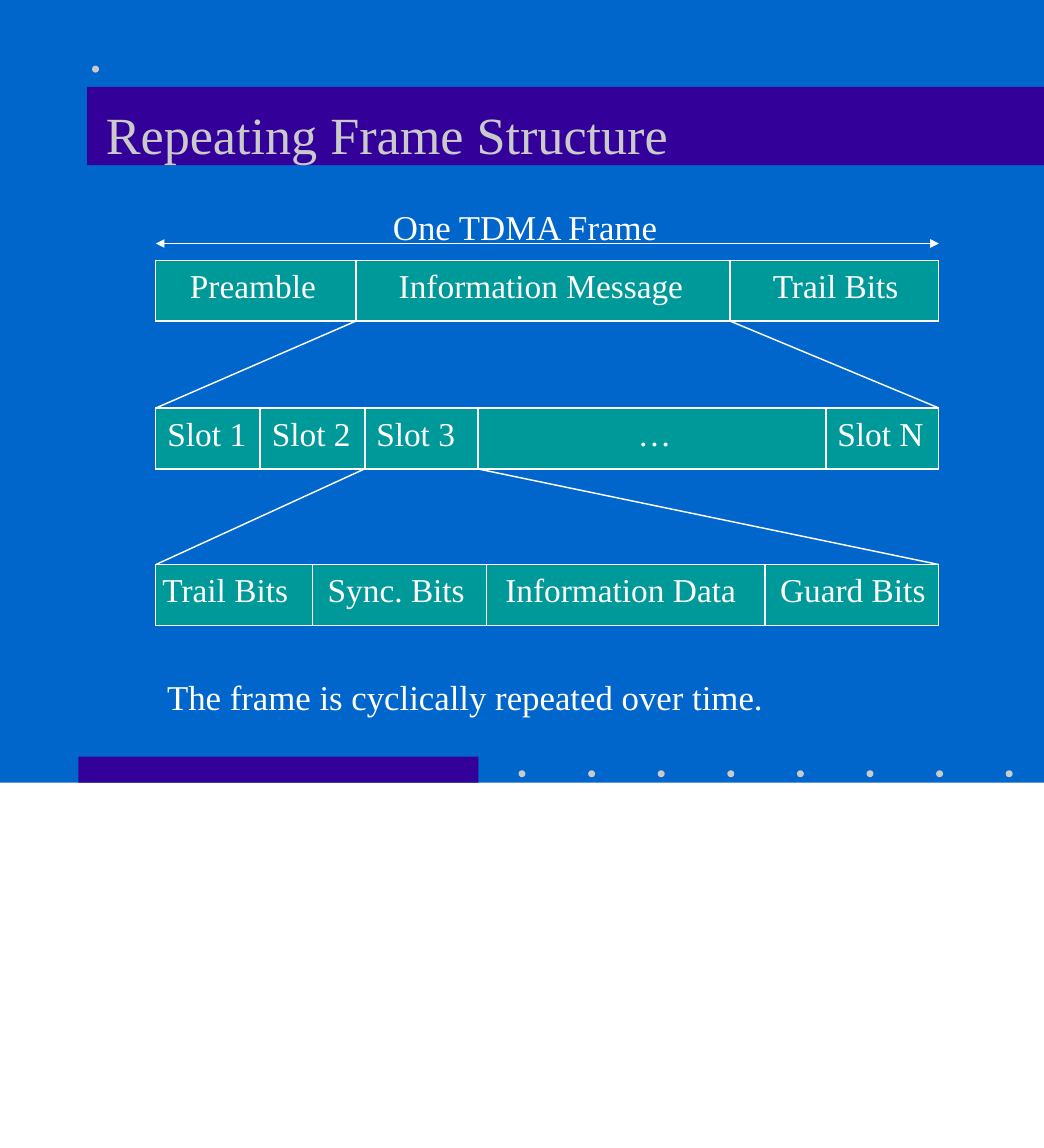
import itertools

import pptx
import pptx.dml.color
import pptx.enum.shapes
import pptx.enum.text
import pptx.oxml
import pptx.oxml.ns
import pptx.util

Pt = pptx.util.Pt
SHAPES = pptx.enum.shapes.MSO_SHAPE
ALIGN = pptx.enum.text.PP_ALIGN
ANCHOR = pptx.enum.text.MSO_ANCHOR

FONT = "Times New Roman"
COLORS = {"page": "0066CC", "band": "330099", "grey": "CACACA",
          "cell": "009999", "white": "FFFFFF"}

TITLE = "Repeating Frame Structure"
CAPTIONS = [("One TDMA Frame", 271, 142.2, 184),
            ("The frame is cyclically repeated over time.", 115.2, 466.2, 430)]
# Each row: top, then cells as (text, width, indent, alignment)
ROWS = [
    (179.5, [("Preamble", 138, 23.5, ALIGN.LEFT),
             ("Information Message", 258, 29.5, ALIGN.LEFT),
             ("Trail Bits", 144, 29.5, ALIGN.LEFT)]),
    (281.5, [("Slot 1", 72, 8, ALIGN.LEFT),
             ("Slot 2", 72, 8, ALIGN.LEFT),
             ("Slot 3", 78, 8, ALIGN.LEFT),
             ("…", 240, 4, ALIGN.CENTER),
             ("Slot N", 78, 8, ALIGN.LEFT)]),
    (389.5, [("Trail Bits", 108, 4.5, ALIGN.LEFT),
             ("Sync. Bits", 120, 10.5, ALIGN.LEFT),
             ("Information Data", 192, 13, ALIGN.LEFT),
             ("Guard Bits", 120, 10.5, ALIGN.LEFT)]),
]
EXPANDED = [1, 2]  # cell of each row that the next row details
LEFT, WIDTH, ROW_HEIGHT = 107.5, 540, 42
ARROW_Y = 168
DOT = 4.8
DOTS = [(63.5, 45.3)] + [(357.6 + 48 * i, 531.4) for i in range(8)]


def rgb(name):
    return pptx.dml.color.RGBColor.from_string(COLORS[name])


def write(frame, text, size=24, color="white", align=ALIGN.LEFT,
          anchor=ANCHOR.TOP, indent=0):
    frame.word_wrap = True
    frame.vertical_anchor = anchor
    frame.margin_left = Pt(indent)
    frame.margin_right = frame.margin_top = frame.margin_bottom = 0
    para = frame.paragraphs[0]
    para.alignment = align
    para.space_before = Pt(0)
    span = para.add_run()
    span.text = text
    span.font.name, span.font.size = FONT, Pt(size)
    span.font.color.rgb = rgb(color)


def add_block(page, kind, left, top, width, height, color):
    block = page.shapes.add_shape(kind, Pt(left), Pt(top), Pt(width), Pt(height))
    block.shadow.inherit = False
    block.fill.solid()
    block.fill.fore_color.rgb = rgb(color)
    block.line.fill.background()


def add_line(page, start, end, arrows=False):
    line = page.shapes.add_connector(
        pptx.enum.shapes.MSO_CONNECTOR.STRAIGHT, *map(Pt, start + end))
    line.line.color.rgb = rgb("white")
    line.line.width = Pt(1)
    if arrows:
        stroke = line.line._get_or_add_ln()
        for tag in ("headEnd", "tailEnd"):
            add_xml(stroke, f'<a:{tag} {{ns}} type="triangle" w="med" len="med"/>')
    add_xml(line.element.spPr, "<a:effectLst {ns}/>")


def add_xml(parent, markup):
    parent.append(pptx.oxml.parse_xml(
        markup.format(ns=pptx.oxml.ns.nsdecls("a"))))


def border(cell, first, last):
    """Draw thin outer edges and thicker dividers between cells."""
    widths = {"L": 1 if first else 1.5, "R": 1 if last else 1.5, "T": 1, "B": 1}
    for side, width in widths.items():
        add_xml(cell._tc.get_or_add_tcPr(),
                f'<a:ln{side} {{ns}} w="{Pt(width)}"><a:solidFill>'
                f'<a:srgbClr val="{COLORS["white"]}"/></a:solidFill></a:ln{side}>')


def add_row(page, top, cells):
    table = page.shapes.add_table(1, len(cells), Pt(LEFT), Pt(top),
                                  Pt(WIDTH), Pt(ROW_HEIGHT)).table
    table.first_row = table.horz_banding = False
    table.rows[0].height = Pt(ROW_HEIGHT)
    for i, (text, width, indent, align) in enumerate(cells):
        table.columns[i].width = Pt(width)
        cell = table.cell(0, i)
        write(cell.text_frame, text, size=23, align=align)
        cell.margin_left, cell.margin_top = Pt(indent), Pt(5.8)
        cell.margin_right = cell.margin_bottom = 0
        cell.vertical_anchor = ANCHOR.TOP
        border(cell, i == 0, i == len(cells) - 1)
        cell.fill.solid()
        cell.fill.fore_color.rgb = rgb("cell")


def add_title(page):
    title = page.shapes.title
    title.left, title.top, title.width, title.height = map(Pt, (60, 60, 660, 54))
    title.fill.solid()
    title.fill.fore_color.rgb = rgb("band")
    title.text_frame.auto_size = pptx.enum.text.MSO_AUTO_SIZE.NONE
    write(title.text_frame, TITLE, size=36, color="grey",
          anchor=ANCHOR.BOTTOM, indent=13)
    title.element.getparent().append(title.element)  # in front of the backdrop


def main():
    deck = pptx.Presentation()
    deck.slide_width, deck.slide_height = Pt(720), Pt(792)
    page = deck.slides.add_slide(deck.slide_layouts[5])

    add_block(page, SHAPES.RECTANGLE, 0, 0, 720, 540, "page")
    add_block(page, SHAPES.RECTANGLE, 54, 522, 276, 18, "band")
    for left, top in DOTS:
        add_block(page, SHAPES.OVAL, left, top, DOT, DOT, "grey")
    add_title(page)

    for top, cells in ROWS:
        add_row(page, top, cells)
    for (top, cells), (next_top, _), index in zip(ROWS, ROWS[1:], EXPANDED):
        edges = list(itertools.accumulate((c[1] for c in cells), initial=LEFT))
        bottom = top + ROW_HEIGHT
        add_line(page, (edges[index], bottom), (LEFT, next_top))
        add_line(page, (edges[index + 1], bottom), (LEFT + WIDTH, next_top))
    add_line(page, (LEFT, ARROW_Y), (LEFT + WIDTH, ARROW_Y), arrows=True)

    for text, left, top, width in CAPTIONS:
        box = page.shapes.add_textbox(Pt(left), Pt(top), Pt(width), Pt(30))
        write(box.text_frame, text)
    deck.save("out.pptx")


if __name__ == "__main__":
    main()
